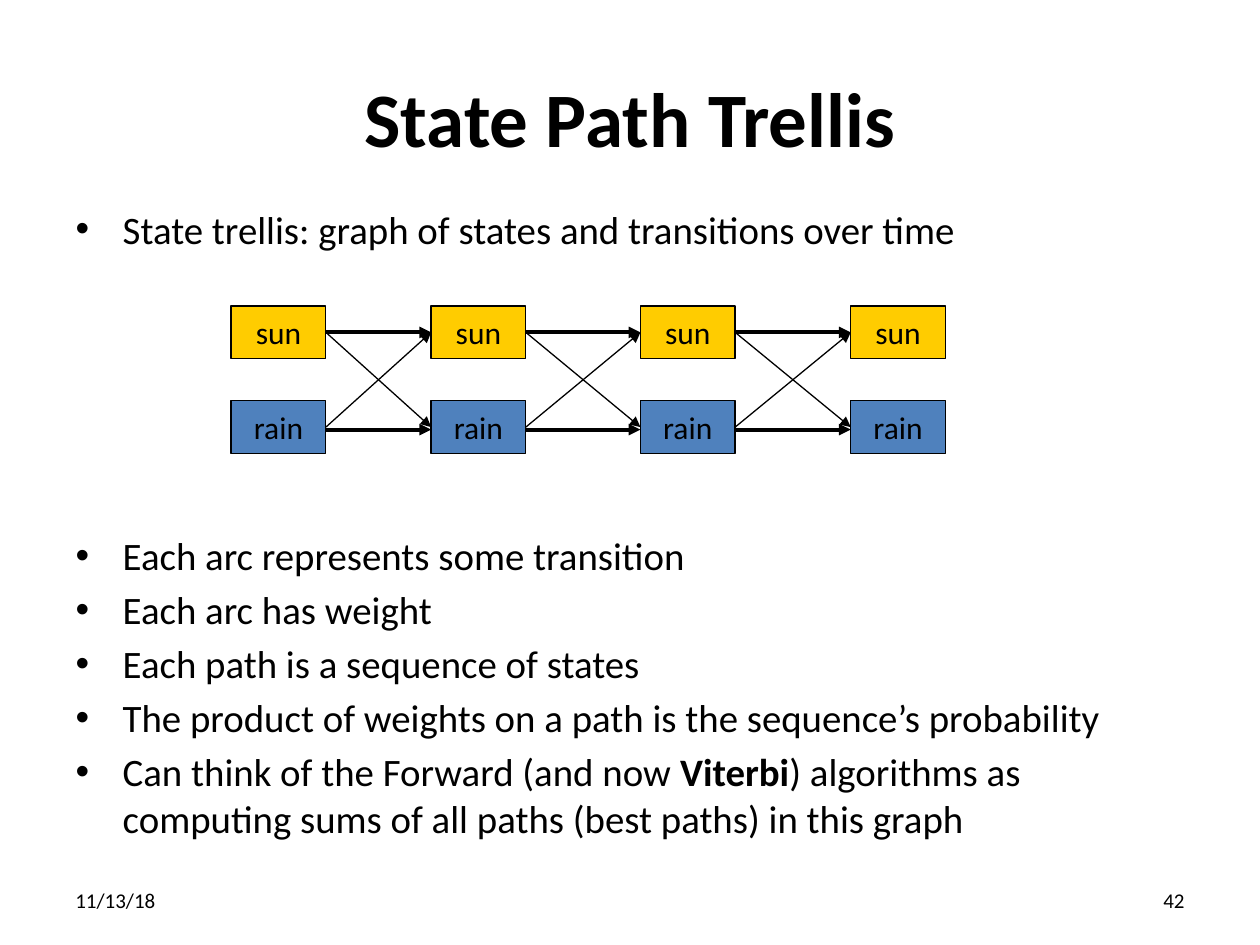
from lxml.etree import SubElement
from pptx import Presentation
from pptx.dml.color import RGBColor
from pptx.enum.shapes import MSO_CONNECTOR as CONN, MSO_SHAPE as SHAPE
from pptx.enum.text import MSO_ANCHOR as ANCHOR, MSO_AUTO_SIZE as AUTO, PP_ALIGN as ALIGN
from pptx.oxml.ns import qn
from pptx.util import Cm, Pt

COLORS = {"text": "000000", "line": "000000", "sun": "FFCC00", "rain": "4F81BD"}
FONT = "Calibri"

# Trellis grid, in cm
COLUMNS = [4.66, 8.69, 12.91, 17.15]
ROWS = {"sun": 6.17, "rain": 8.08}
BOX_W, BOX_H = 1.91, 1.06
RAIN_ARROW_Y = 8.66

# Each bullet: space before in points, then its runs as (text, bold)
BULLETS = [
    (0, [("State trellis: graph of states and transitions over time", False)]),
    (160, [("Each arc represents some transition", False)]),
    (4.2, [("Each arc has weight", False)]),
    (4.2, [("Each path is a sequence of states", False)]),
    (4.2, [("The product of weights on a path is the sequence’s probability", False)]),
    (4.2, [("Can think of the Forward (and now ", False), ("Viterbi", True),
           (") algorithms as computing sums of all paths (best paths) in this graph", False)]),
]


def rgb(name):
    return RGBColor.from_string(COLORS[name])


def add_text(p, text, size=18, bold=False, align=None):
    if align is not None:
        p.alignment = align
    r = p.add_run()
    r.text = text
    r.font.name = FONT
    r.font.size = Pt(size)
    r.font.bold = bold
    r.font.color.rgb = rgb("text")


def place(sp, left, top, width, height):
    sp.left, sp.top, sp.width, sp.height = Cm(left), Cm(top), Cm(width), Cm(height)


def fill_title(sp, text):
    place(sp, 1.27, 0.76, 22.86, 3.18)
    tf = sp.text_frame
    tf.auto_size = AUTO.NONE
    tf.vertical_anchor = ANCHOR.MIDDLE
    add_text(tf.paragraphs[0], text, size=44, bold=True, align=ALIGN.CENTER)


def fill_bullets(sp, bullets):
    place(sp, 1.27, 4.01, 22.86, 14.17)
    tf = sp.text_frame
    tf.auto_size = AUTO.NONE
    for i, (space, runs) in enumerate(bullets):
        p = tf.add_paragraph() if i else tf.paragraphs[0]
        pPr = p._p.get_or_add_pPr()
        pPr.set("marL", str(Cm(0.95)))
        pPr.set("indent", str(-Cm(0.95)))
        SubElement(pPr, qn("a:buFont"), typeface="Arial")
        SubElement(pPr, qn("a:buChar"), char="•")
        p.space_before = Pt(space)
        for text, bold in runs:
            add_text(p, text, size=22.2, bold=bold)


def add_footer(shapes, text, left, align):
    sp = shapes.add_textbox(Cm(left), Cm(17.65), Cm(5.93), Cm(1.01))
    tf = sp.text_frame
    tf.word_wrap = True
    tf.vertical_anchor = ANCHOR.MIDDLE
    add_text(tf.paragraphs[0], text, size=12, align=align)


def add_state(shapes, name, left, top):
    sp = shapes.add_shape(SHAPE.RECTANGLE, Cm(left), Cm(top), Cm(BOX_W), Cm(BOX_H))
    sp.shadow.inherit = False
    sp.fill.solid()
    sp.fill.fore_color.rgb = rgb(name)
    sp.line.color.rgb = rgb("line")
    sp.line.width = Pt(0.75)
    tf = sp.text_frame
    tf.word_wrap = False
    tf.vertical_anchor = ANCHOR.MIDDLE
    add_text(tf.paragraphs[0], name, align=ALIGN.CENTER)
    return sp


def add_arrow(shapes, start, end, width, y=None):
    """Join two states side to side, or run level at y when it is given."""
    level = Cm(y or 0)
    line = shapes.add_connector(CONN.STRAIGHT, start.left + start.width, level, end.left, level)
    if y is None:
        line.begin_connect(start, 3)
        line.end_connect(end, 1)
    line.line.color.rgb = rgb("line")
    line.line.width = Pt(width)
    SubElement(line.line._get_or_add_ln(), qn("a:tailEnd"), type="triangle")
    SubElement(line._element.spPr, qn("a:effectLst"))


def add_trellis(shapes):
    group = shapes.add_group_shape().shapes
    steps = [{name: add_state(group, name, left, top) for name, top in ROWS.items()}
             for left in COLUMNS]
    for now, after in zip(steps, steps[1:]):
        add_arrow(group, now["sun"], after["sun"], 2.25)
        add_arrow(group, now["sun"], after["rain"], 0.75)
        add_arrow(group, now["rain"], after["sun"], 0.75)
        add_arrow(group, now["rain"], after["rain"], 2.25, y=RAIN_ARROW_Y)


def main():
    prs = Presentation()
    prs.slide_width, prs.slide_height = Cm(25.4), Cm(19.05)
    slide = prs.slides.add_slide(prs.slide_layouts[1])

    # Title and bullets
    fill_title(slide.shapes.title, "State Path Trellis")
    fill_bullets(slide.placeholders[1], BULLETS)

    # Date and slide number
    add_footer(slide.shapes, "11/13/18", 1.27, ALIGN.LEFT)
    add_footer(slide.shapes, "42", 18.2, ALIGN.RIGHT)

    # State diagram
    add_trellis(slide.shapes)
    prs.save("out.pptx")


if __name__ == "__main__":
    main()
